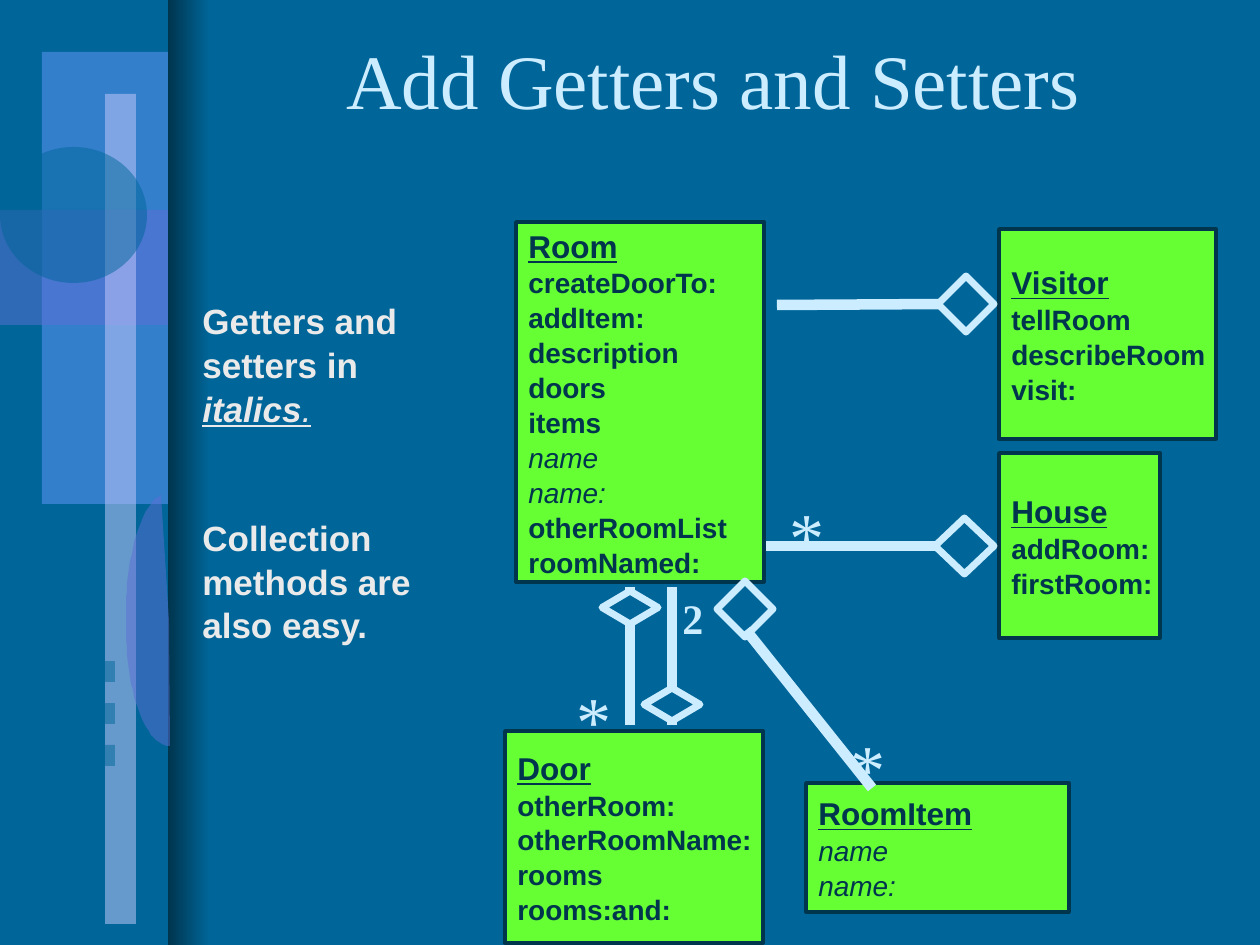
from dataclasses import dataclass

from lxml import etree
from pptx import Presentation
from pptx import util as u
from pptx.dml.color import RGBColor
from pptx.enum import shapes, text
from pptx.oxml.ns import qn

SCALE = 914400 / 126  # EMU per px
COLORS = {
    "bg": "006699", "dark": "00354E", "sky": "6699FF", "violet": "5E6FD4",
    "lilac": "CCCCFF", "pale": "CCECFF", "green": "66FF33", "body": "EAEAEA",
}
RECT = shapes.MSO_SHAPE.RECTANGLE
OVAL = shapes.MSO_SHAPE.OVAL
DIAMOND = shapes.MSO_SHAPE.DIAMOND
LINE_SPACING = 1.04


@dataclass(frozen=True)
class Box:
    x: int
    y: int
    w: int
    h: int

    def emu(self) -> list[u.Emu]:
        return [px(v) for v in (self.x, self.y, self.w, self.h)]


@dataclass(frozen=True)
class Decoration:
    kind: int
    box: Box
    color: str


@dataclass(frozen=True)
class ClassCard:
    box: Box
    name: str
    methods: tuple[str, ...]
    accessors: tuple[str, ...] = ()  # set in italics


@dataclass(frozen=True)
class Association:
    start: tuple[int, int]
    end: tuple[int, int]
    diamond: Box
    label: str = ""
    label_box: Box | None = None
    line_on_top: bool = False


def px(value: float) -> u.Emu:
    return u.Emu(round(value * SCALE))


def rgb(name: str) -> RGBColor:
    return RGBColor.from_string(COLORS[name])


def paint(sp, fill: str, line: str = "", width: int = 0, alpha: int = 100) -> None:
    sp.shadow.inherit = False
    sp.fill.solid()
    sp.fill.fore_color.rgb = rgb(fill)
    if alpha < 100:
        clr = sp._element.spPr.find(f"{qn('a:solidFill')}/{qn('a:srgbClr')}")
        etree.SubElement(clr, qn("a:alpha"), val=str(alpha * 1000))
    if line:
        sp.line.color.rgb = rgb(line)
        sp.line.width = u.Pt(width)
    else:
        sp.line.fill.background()


def add_run(p, words: str, size: int, color: str, face: str = "Arial",
            bold: bool = False, italic: bool = False, underline: bool = False) -> None:
    r = p.add_run()
    r.text = words
    f = r.font
    f.name, f.size, f.color.rgb = face, u.Pt(size), rgb(color)
    f.bold, f.italic, f.underline = bold, italic, underline


def add_textbox(s, box: Box, wrap: bool = True):
    tf = s.shapes.add_textbox(*box.emu()).text_frame
    tf.word_wrap = wrap
    return tf


def draw_card(s, card: ClassCard) -> None:
    sp = s.shapes.add_shape(RECT, *card.box.emu())
    paint(sp, "green", "dark", 2)
    tf = sp.text_frame
    tf.word_wrap = False
    tf.vertical_anchor = text.MSO_ANCHOR.MIDDLE
    for i, label in enumerate((card.name, *card.methods)):
        p = tf.add_paragraph() if i else tf.paragraphs[0]
        p.alignment = text.PP_ALIGN.LEFT
        p.line_spacing = LINE_SPACING
        accessor = label in card.accessors
        add_run(p, label, 16 if i else 18, "dark", bold=not accessor,
                italic=accessor, underline=i == 0)


def draw_line(s, link: Association) -> None:
    ends = [px(v) for v in (*link.start, *link.end)]
    line = s.shapes.add_connector(shapes.MSO_CONNECTOR.STRAIGHT, *ends)
    line.line.color.rgb = rgb("pale")
    line.line.width = u.Pt(6)
    etree.SubElement(line._element.spPr, qn("a:effectLst"))


def draw_association(s, link: Association) -> None:
    if not link.line_on_top:
        draw_line(s, link)
    paint(s.shapes.add_shape(DIAMOND, *link.diamond.emu()), "bg", "pale", 4)
    if link.line_on_top:
        draw_line(s, link)
    if link.label_box:
        many = link.label == "*"
        tf = add_textbox(s, link.label_box, wrap=many)
        add_run(tf.paragraphs[0], link.label, 40 if many else 24, "pale",
                "Times New Roman", bold=not many)


def bezier(*pts: tuple[int, int], steps: int = 24) -> list[tuple[float, float]]:
    """Points along a cubic curve, without its start."""
    curve = []
    for t in (i / steps for i in range(1, steps + 1)):
        weights = ((1 - t) ** 3, 3 * t * (1 - t) ** 2, 3 * t * t * (1 - t), t ** 3)
        curve.append(tuple(sum(w * pt[k] for w, pt in zip(weights, pts)) for k in (0, 1)))
    return curve


DECORATIONS = [
    Decoration(RECT, Box(42, 52, 126, 452), "sky"),
    Decoration(RECT, Box(0, 210, 168, 115), "violet"),
    Decoration(RECT, Box(105, 94, 31, 830), "lilac"),
    Decoration(OVAL, Box(0, 147, 147, 136), "bg"),
    *(Decoration(RECT, Box(0, 661 + 42 * i, 115, 21), "bg") for i in range(3)),
]
CARDS = [
    ClassCard(Box(516, 222, 248, 360), "Room",
              ("createDoorTo:", "addItem:", "description", "doors", "items", "name",
               "name:", "otherRoomList", "roomNamed:"), ("name", "name:")),
    ClassCard(Box(505, 731, 258, 212), "Door",
              ("otherRoom:", "otherRoomName:", "rooms", "rooms:and:")),
    ClassCard(Box(806, 783, 263, 129), "RoomItem", ("name", "name:"), ("name", "name:")),
    ClassCard(Box(999, 453, 161, 185), "House", ("addRoom:", "firstRoom:")),
    ClassCard(Box(999, 229, 217, 210), "Visitor", ("tellRoom", "describeRoom", "visit:")),
]
ASSOCIATIONS = [
    Association((630, 587), (630, 725), Box(602, 591, 56, 33), "*", Box(564, 670, 66, 97)),
    Association((672, 587), (672, 725), Box(644, 688, 56, 33), "2", Box(670, 586, 46, 63)),
    Association((746, 630), (872, 788), Box(717, 581, 56, 56), "*", Box(838, 718, 66, 97),
                line_on_top=True),
    Association((942, 546), (766, 546), Box(935, 518, 59, 56), "*", Box(777, 486, 53, 97)),
    Association((777, 305), (945, 304), Box(938, 276, 56, 56)),
]


def main() -> None:
    prs = Presentation()
    prs.slide_width, prs.slide_height = px(1260), px(945)
    s = prs.slides.add_slide(prs.slide_layouts[6])
    s.background.fill.solid()
    s.background.fill.fore_color.rgb = rgb("bg")

    # Shaded fold beside the left strip
    fold = s.shapes.add_shape(RECT, *Box(168, 0, 42, 945).emu())
    paint(fold, "bg")
    fold.fill.gradient()
    fold.fill.gradient_angle = 0
    for stop, color in zip(fold.fill.gradient_stops, ("dark", "bg")):
        stop.color.rgb = rgb(color)

    # Translucent strip ornaments
    for d in DECORATIONS:
        paint(s.shapes.add_shape(d.kind, *d.box.emu()), d.color, alpha=50)
    bottom, left, top = (170, 746), (126, 631), (161, 495)
    fb = s.shapes.build_freeform(*bottom, scale=SCALE)
    fb.add_line_segments([*bezier(bottom, (147, 747), (127, 697), left),
                          *bezier(left, (123, 564), (140, 505), top), (169, 620)])
    paint(fb.convert_to_shape(), "violet", alpha=50)

    # Title
    tf = add_textbox(s, Box(178, 0, 1071, 158))
    tf.vertical_anchor = text.MSO_ANCHOR.MIDDLE
    p = tf.paragraphs[0]
    p.alignment = text.PP_ALIGN.CENTER
    add_run(p, "Add Getters and Setters", 44, "pale", "Times New Roman")

    # Class diagram
    for card in CARDS:
        draw_card(s, card)
    for link in ASSOCIATIONS:
        draw_association(s, link)

    # Remarks on the left
    tf = add_textbox(s, Box(190, 292, 292, 350))
    p = tf.paragraphs[0]
    add_run(p, "Getters and setters in ", 20, "body", bold=True)
    add_run(p, "italics", 20, "body", bold=True, italic=True, underline=True)
    add_run(p, ".", 20, "body", italic=True, underline=True)
    p = tf.add_paragraph()
    p.space_before = u.Pt(49)
    add_run(p, "Collection methods are also easy.", 20, "body", bold=True)
    for p in tf.paragraphs:
        p.line_spacing = LINE_SPACING

    prs.save("out.pptx")


if __name__ == "__main__":
    main()
